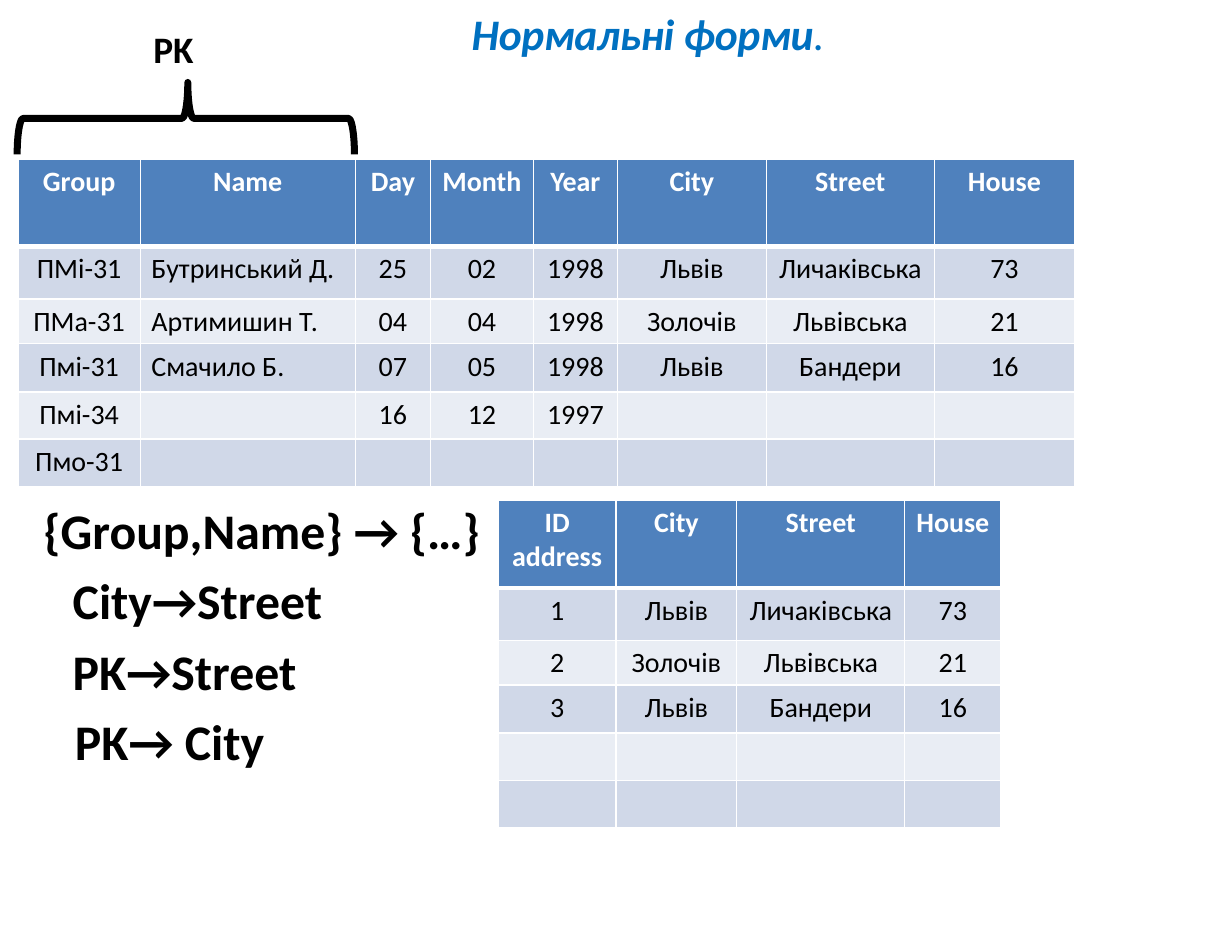
import pptx
import pptx.dml.color
import pptx.enum.shapes
import pptx.enum.text
import pptx.oxml
import pptx.oxml.ns
import pptx.util

Cm = pptx.util.Cm
Pt = pptx.util.Pt
CENTER = pptx.enum.text.PP_ALIGN.CENTER
LEFT = pptx.enum.text.PP_ALIGN.LEFT


def color(value):
    return pptx.dml.color.RGBColor.from_string(value)


class NormalFormsSlide:
    font = "Calibri"
    black = "000000"
    white = "FFFFFF"
    blue = "0070C0"
    header_fill = "4F81BD"
    band_fills = ("D0D8E8", "E9EDF4")
    row_heights = (1.98, 1.19, 0.84, 1.09, 1.07, 1.07)

    def __init__(self, presentation):
        self.slide = presentation.slides.add_slide(presentation.slide_layouts[6])

    def run(self, paragraph, text, size, ink, bold=False, italic=False, spacing=0):
        run = paragraph.add_run()
        run.text = text
        run.font.name = self.font
        run.font.size = Pt(size)
        run.font.bold = bold
        run.font.italic = italic
        run.font.color.rgb = color(ink)
        if spacing:
            run.font._element.set("spc", str(spacing))

    def text_box(self, left, top, width, height):
        shape = self.slide.shapes.add_textbox(Cm(left), Cm(top), Cm(width), Cm(height))
        shape.text_frame.auto_size = pptx.enum.text.MSO_AUTO_SIZE.SHAPE_TO_FIT_TEXT
        return shape.text_frame

    def title(self, text, ending):
        frame = self.text_box(1.9, 0.15, 25.6, 1.19)
        frame.word_wrap = True
        frame.margin_left = frame.margin_right = 0
        frame.margin_top = frame.margin_bottom = 0
        paragraph = frame.paragraphs[0]
        paragraph.alignment = CENTER
        self.run(paragraph, text, 28, self.blue, True, True, -25)
        self.run(paragraph, ending, 28, self.blue, False, True)

    def label(self, text, left, top, width, height, size):
        frame = self.text_box(left, top, width, height)
        frame.word_wrap = False
        self.run(frame.paragraphs[0], text, size, self.black, True)

    def brace(self, left, top, width, height):
        shape = self.slide.shapes.add_shape(
            pptx.enum.shapes.MSO_SHAPE.RIGHT_BRACE,
            Cm(left), Cm(top), Cm(width), Cm(height))
        shape.rotation = 270
        shape.adjustments[0] = 0.083
        shape.adjustments[1] = 0.506
        shape.shadow.inherit = False
        shape.fill.background()
        shape.line.color.rgb = color(self.black)
        shape.line.width = Pt(4.5)

    def borders(self, cell, top, bottom):
        properties = cell._tc.get_or_add_tcPr()
        sides = (("L", 1), ("R", 1), ("T", top), ("B", bottom))
        for index, (side, width) in enumerate(sides):
            properties.insert(index, pptx.oxml.parse_xml(
                f'<a:ln{side} {pptx.oxml.ns.nsdecls("a")} w="{Pt(width)}">'
                f'<a:solidFill><a:srgbClr val="{self.white}"/></a:solidFill></a:ln{side}>'))

    def table(self, left, top, widths, rows, left_column=None):
        shape = self.slide.shapes.add_table(
            len(rows), len(widths), Cm(left), Cm(top),
            Cm(sum(widths)), Cm(sum(self.row_heights)))
        table = shape.table
        for column, width in zip(table.columns, widths):
            column.width = Cm(width)
        for row_index, values in enumerate(rows):
            table.rows[row_index].height = Cm(self.row_heights[row_index])
            header = row_index == 0
            fill = self.header_fill if header else self.band_fills[(row_index - 1) % 2]
            for column_index in range(len(widths)):
                cell = table.cell(row_index, column_index)
                cell.fill.solid()
                cell.fill.fore_color.rgb = color(fill)
                self.borders(cell, 3 if row_index == 1 else 1, 3 if header else 1)
                if column_index >= len(values) or not values[column_index]:
                    continue
                for line_index, line in enumerate(values[column_index].split("\n")):
                    frame = cell.text_frame
                    paragraph = frame.add_paragraph() if line_index else frame.paragraphs[0]
                    name_cell = column_index == left_column and not header
                    paragraph.alignment = LEFT if name_cell else CENTER
                    self.run(paragraph, line, 18,
                             self.white if header else self.black, header)


presentation = pptx.Presentation()
presentation.slide_width = Cm(27.94)
presentation.slide_height = Cm(21.59)
page = NormalFormsSlide(presentation)

address_header = ("City", "Street", "House")
addresses = (
    ("Львів", "Личаківська", "73"),
    ("Золочів", "Львівська", "21"),
    ("Львів", "Бандери", "16"),
)
students = (
    ("ПМі-31", "Бутринський Д.", "25", "02", "1998"),
    ("ПМа-31", "Артимишин Т.", "04", "04", "1998"),
    ("Пмі-31", "Смачило Б.", "07", "05", "1998"),
)

page.title("Нормальні форми", ".")
page.table(
    0.41, 3.61, (2.77, 4.88, 1.7, 2.34, 1.9, 3.38, 3.81, 3.18),
    [("Group", "Name", "Day", "Month", "Year") + address_header]
    + [student + address for student, address in zip(students, addresses)]
    + [("Пмі-34", "", "16", "12", "1997"), ("Пмо-31",)],
    left_column=1)
page.brace(3.4, -1.14, 1.63, 7.65)
page.label("PK", 3.23, 0.46, 1.42, 1.27, 24)

dependencies = (
    ("{Group,Name} → {…}", 0.74, 10.49),
    ("City→Street", 1.4, 6.22),
    ("PK→Street", 1.4, 5.64),
    ("PK→ City", 1.45, 4.85),
)
for index, (text, left, width) in enumerate(dependencies):
    page.label(text, left, 11.2 + 1.6 * index, width, 1.63, 32)

page.table(
    11.3, 11.35, (2.67, 2.74, 3.81, 2.18),
    [("ID\naddress",) + address_header]
    + [(str(number),) + address for number, address in enumerate(addresses, 1)]
    + [(), ()])

presentation.save("out.pptx")
